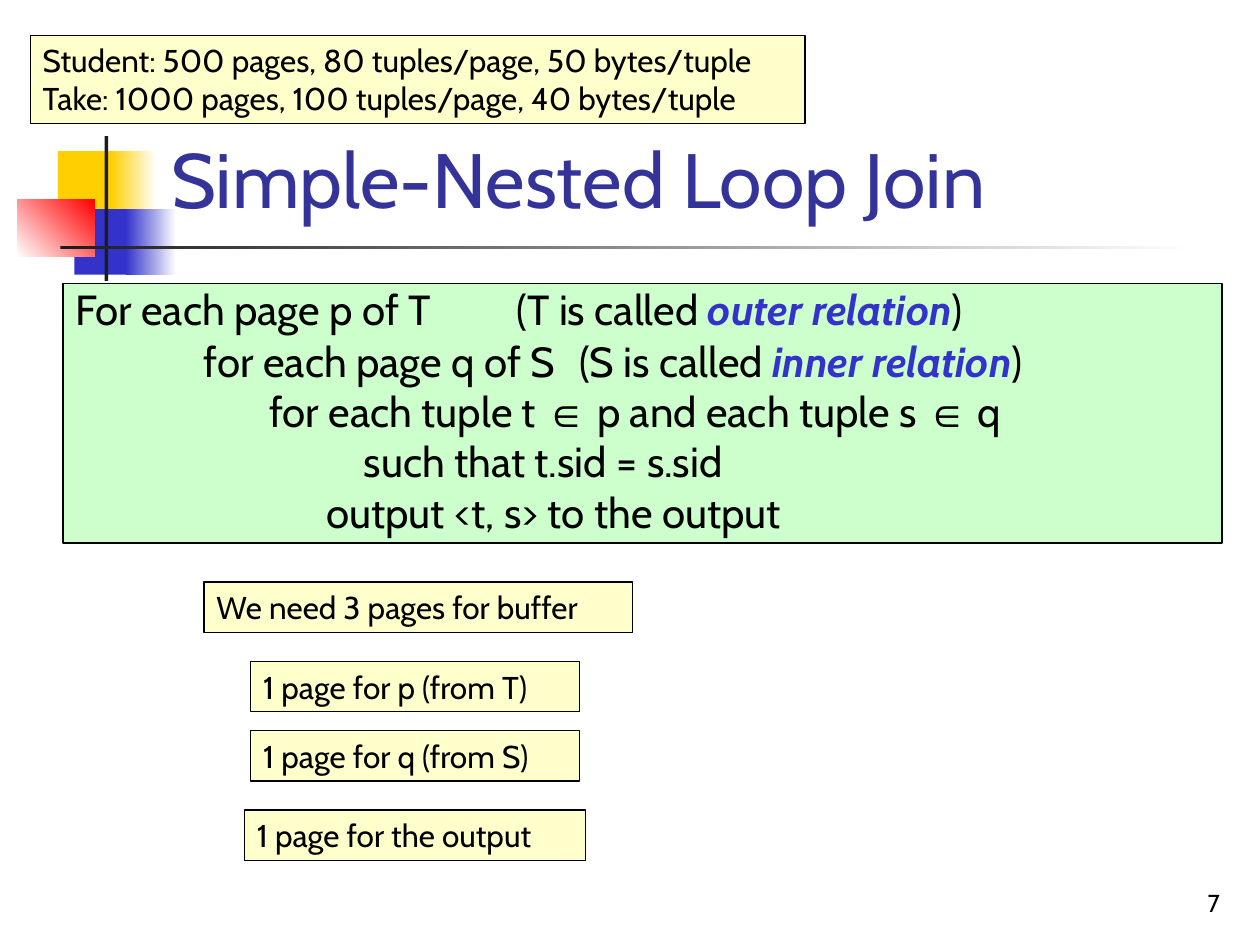
from pptx import Presentation
from pptx.dml.color import RGBColor
from pptx.enum.shapes import MSO_SHAPE
from pptx.enum.text import MSO_ANCHOR, MSO_AUTO_SIZE, PP_ALIGN
from pptx.util import Inches, Pt

RECTANGLE = MSO_SHAPE.RECTANGLE
TOP, BOTTOM = MSO_ANCHOR.TOP, MSO_ANCHOR.BOTTOM
LEFT, RIGHT = PP_ALIGN.LEFT, PP_ALIGN.RIGHT
NO_AUTOFIT = MSO_AUTO_SIZE.NONE

BLACK = RGBColor(0x00, 0x00, 0x00)
WHITE = RGBColor(0xFF, 0xFF, 0xFF)
CHARCOAL = RGBColor(0x1C, 0x1C, 0x1C)
YELLOW = RGBColor(0xFF, 0xCF, 0x01)
RED = RGBColor(0xFF, 0x00, 0x00)
BLUE = RGBColor(0x33, 0x33, 0xCC)
TITLE_BLUE = RGBColor(0x33, 0x33, 0x99)
PALE_YELLOW = RGBColor(0xFF, 0xFF, 0xCC)
PALE_GREEN = RGBColor(0xCC, 0xFF, 0xCC)

# Run styles in the pseudocode
PLAIN, TERM, SYMBOL = "plain", "term", "symbol"


class SlideBuilder:
    font = "Cabin"
    symbol_font = "Arial"
    note_size = 18
    code_size = 24

    def __init__(self, presentation):
        self.slide = presentation.slides.add_slide(presentation.slide_layouts[5])

    def format_run(self, run, size, color=BLACK, font=None):
        run.font.name = font or self.font
        run.font.size = Pt(size)
        run.font.color.rgb = color

    def set_text(self, text_frame, text, size, color=BLACK, align=LEFT, anchor=TOP):
        text_frame.word_wrap = True
        text_frame.auto_size = NO_AUTOFIT
        text_frame.vertical_anchor = anchor
        text_frame.text = text
        for paragraph in text_frame.paragraphs:
            paragraph.alignment = align
            for run in paragraph.runs:
                self.format_run(run, size, color)

    def title(self, text, left, top, width, height):
        title = self.slide.shapes.title
        title.left, title.top = Inches(left), Inches(top)
        title.width, title.height = Inches(width), Inches(height)
        self.set_text(title.text_frame, text, 44, TITLE_BLUE, anchor=BOTTOM)
        # Bring the title in front of the decoration
        title.element.getparent().append(title.element)

    def rectangle(self, left, top, width, height, color):
        shape = self.slide.shapes.add_shape(
            RECTANGLE, Inches(left), Inches(top), Inches(width), Inches(height))
        shape.shadow.inherit = False
        shape.fill.solid()
        shape.fill.fore_color.rgb = color
        shape.line.fill.background()
        return shape

    def gradient(self, left, top, width, height, start, end, angle=0):
        shape = self.rectangle(left, top, width, height, start)
        shape.fill.gradient()
        shape.fill.gradient_angle = angle
        for stop, color in zip(shape.fill.gradient_stops, (start, end)):
            stop.color.rgb = color

    def box(self, left, top, width, height, color):
        shape = self.rectangle(left, top, width, height, color)
        shape.line.color.rgb = BLACK
        shape.line.width = Pt(0.75)
        return shape

    def note(self, text, left, top, width, height=0.4):
        shape = self.box(left, top, width, height, PALE_YELLOW)
        self.set_text(shape.text_frame, text, self.note_size)

    def pseudocode(self, lines, left, top, width, height):
        text_frame = self.box(left, top, width, height, PALE_GREEN).text_frame
        text_frame.word_wrap = True
        text_frame.vertical_anchor = TOP
        for index, (indent, parts) in enumerate(lines):
            paragraph = text_frame.paragraphs[0] if index == 0 else text_frame.add_paragraph()
            paragraph.alignment = LEFT
            if index == 0:
                paragraph.line_spacing = 0.9
                paragraph.space_before = Pt(6)
            else:
                # Shared margin keeps tab stops in step; first lines step inwards
                properties = paragraph._p.get_or_add_pPr()
                properties.set("marL", str(Inches(0.5)))
                properties.set("indent", str(Inches(indent)))
            for text, style in parts:
                run = paragraph.add_run()
                run.text = text
                self.format_run(run, self.code_size,
                                BLUE if style == TERM else BLACK,
                                self.symbol_font if style == SYMBOL else None)
                run.font.bold = run.font.italic = style == TERM

    def page_number(self, text, left, top, width, height):
        text_box = self.slide.shapes.add_textbox(
            Inches(left), Inches(top), Inches(width), Inches(height))
        self.set_text(text_box.text_frame, text, 14, align=RIGHT, anchor=BOTTOM)


def main():
    presentation = Presentation()
    presentation.slide_width, presentation.slide_height = Inches(10), Inches(7.5)
    builder = SlideBuilder(presentation)

    # Corner decoration and title rule
    builder.rectangle(0.46, 1.2, 0.48, 0.52, YELLOW)
    builder.gradient(0.88, 1.2, 0.36, 0.52, YELLOW, WHITE)
    builder.rectangle(0.59, 1.66, 0.46, 0.52, BLUE)
    builder.gradient(1, 1.66, 0.4, 0.52, BLUE, WHITE)
    builder.gradient(0.14, 1.58, 0.61, 0.46, WHITE, RED, angle=45)
    builder.rectangle(0.83, 1.08, 0.03, 1.15, CHARCOAL)
    builder.gradient(0.48, 1.95, 9, 0.03, CHARCOAL, WHITE)

    # Page number and title
    builder.page_number("7", 7.7, 6.83, 2.08, 0.5)
    builder.title("Simple-Nested Loop Join", 1.26, 0.23, 8.52, 1.6)

    # Join algorithm: first-line indent and runs of each line
    builder.pseudocode([
        (0, [("For each page p of T\t\t(T is called ", PLAIN),
             ("outer relation", TERM), (")", PLAIN)]),
        (0.52, [("for each page q of S\t(S is called ", PLAIN),
                ("inner relation", TERM), (")", PLAIN)]),
        (1.04, [("for each tuple t ", PLAIN), ("∈", SYMBOL),
                (" p and each tuple s ", PLAIN), ("∈", SYMBOL), (" q", PLAIN)]),
        (1.79, [("such that t.sid = s.sid", PLAIN)]),
        (1.49, [("output <t, s> to the output", PLAIN)]),
    ], 0.5, 2.25, 9.2, 2.06)

    # Relation sizes
    builder.note("Student: 500 pages, 80 tuples/page, 50 bytes/tuple\n"
                 "Take: 1000 pages, 100 tuples/page, 40 bytes/tuple",
                 0.24, 0.28, 6.15, 0.7)

    # Buffer needs
    for text, left, top, width in [
        ("We need 3 pages for buffer", 1.62, 4.62, 3.4),
        ("1 page for p (from T)", 1.99, 5.25, 2.61),
        ("1 page for q (from S)", 1.99, 5.8, 2.61),
        ("1 page for the output", 1.94, 6.43, 2.71),
    ]:
        builder.note(text, left, top, width)

    presentation.save("out.pptx")


if __name__ == "__main__":
    main()
